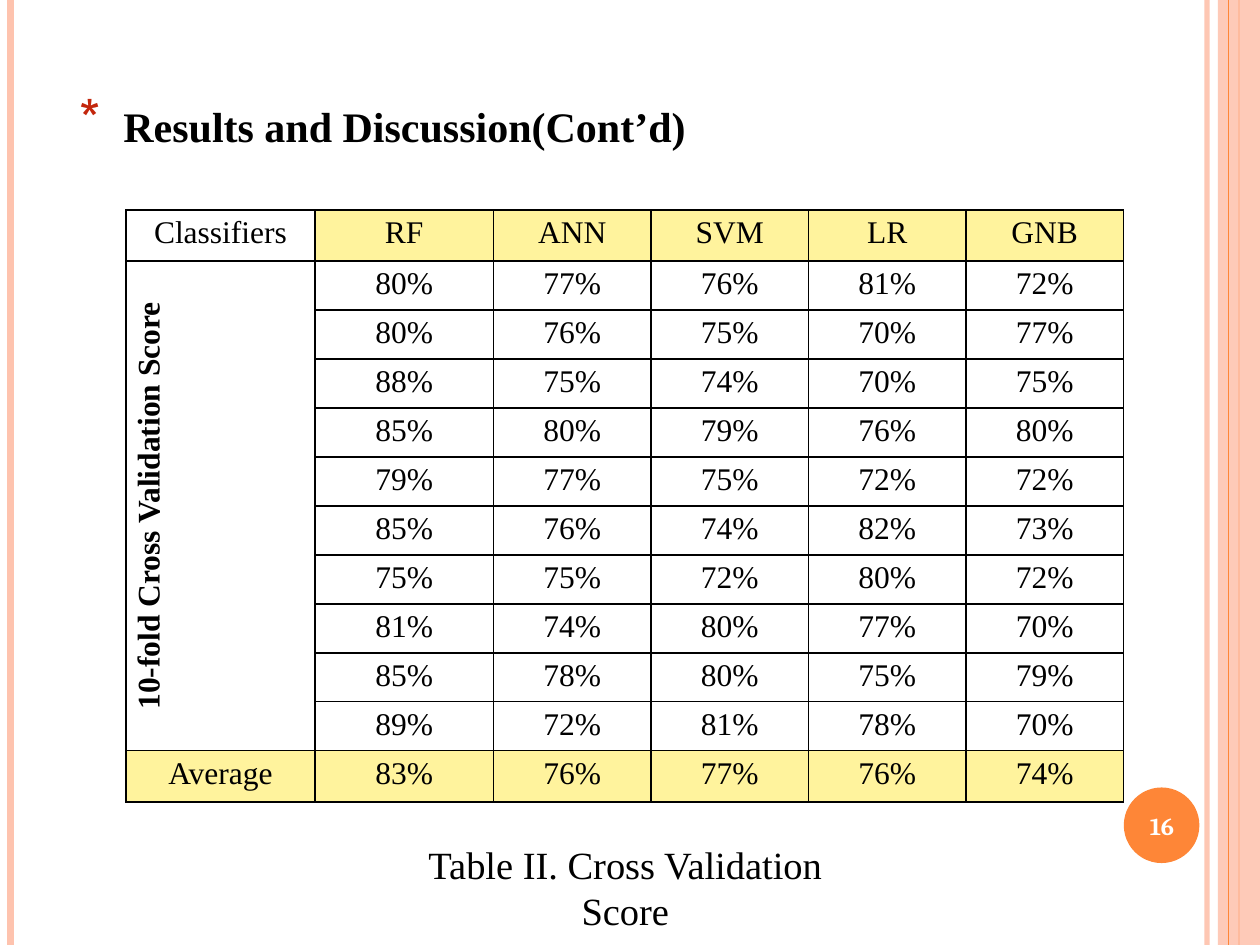
from lxml import etree
from pptx import Presentation
from pptx import util as u
from pptx.dml.color import RGBColor
from pptx.enum import shapes, text
from pptx.oxml import ns

Pt = u.Pt
PEACH = RGBColor(0xFE, 0xC3, 0xAE)
ORANGE = RGBColor(0xFE, 0x86, 0x37)
YELLOW = RGBColor(0xFF, 0xF3, 0x9D)
BLACK = RGBColor(0, 0, 0)
WHITE = RGBColor(0xFF, 0xFF, 0xFF)
BULLET_RED = "C3260C"
SERIF = "Times New Roman"
W, H = 720, 540

HEADER = ["Classifiers", "RF", "ANN", "SVM", "LR", "GNB"]
SCORES = [
    [80, 77, 76, 81, 72],
    [80, 76, 75, 70, 77],
    [88, 75, 74, 70, 75],
    [85, 80, 79, 76, 80],
    [79, 77, 75, 72, 72],
    [85, 76, 74, 82, 73],
    [75, 75, 72, 80, 72],
    [81, 74, 80, 77, 70],
    [85, 78, 80, 75, 79],
    [89, 72, 81, 78, 70],
]
AVERAGE = [83, 76, 77, 76, 74]
COL_WIDTHS = [108, 102, 90, 90, 90, 90]
END_ROW, SCORE_ROW = 29.2, 27.15


def sub(parent, tag, **attrs):
    return etree.SubElement(parent, ns.qn(tag), attrs)


def set_alpha(fill_parent, percent):
    clr = fill_parent.find(ns.qn("a:solidFill"))[0]
    sub(clr, "a:alpha", val=str(percent * 1000))


def write(tf, words, align=text.PP_ALIGN.CENTER, **fmt):
    p = tf.paragraphs[0]
    p.alignment = align
    r = p.add_run()
    r.text = words
    r.font.color.rgb = fmt.pop("color", BLACK)
    for name, value in {"name": SERIF, "bold": False, **fmt}.items():
        setattr(r.font, name, value)
    return p


def add_vline(s, x, color, width, alpha=None):
    ln = s.shapes.add_connector(shapes.MSO_CONNECTOR.STRAIGHT, Pt(x), 0, Pt(x), Pt(H))
    ln.line.color.rgb = color
    ln.line.width = Pt(width)
    spPr = ln._element.spPr
    if alpha:
        set_alpha(spPr.find(ns.qn("a:ln")), alpha)
    sub(spPr, "a:effectLst")


def add_shape(s, kind, box, color, alpha=None):
    sp = s.shapes.add_shape(kind, *map(Pt, box))
    sp.shadow.inherit = False
    sp.fill.solid()
    sp.fill.fore_color.rgb = color
    sp.line.fill.background()
    if alpha:
        set_alpha(sp._element.spPr, alpha)


def add_text(s, box, words, wrap=True, anchor=text.MSO_ANCHOR.TOP, **fmt):
    tf = s.shapes.add_textbox(*map(Pt, box)).text_frame
    tf.word_wrap = wrap
    tf.vertical_anchor = anchor
    return write(tf, words, **fmt)


def add_bullet(p, char, indent):
    pPr = p._p.get_or_add_pPr()
    pPr.set("marL", str(Pt(indent)))
    pPr.set("indent", str(-Pt(indent)))
    sub(sub(pPr, "a:buClr"), "a:srgbClr", val=BULLET_RED)
    sub(pPr, "a:buSzPct", val="128000")
    sub(pPr, "a:buChar", char=char)


def style_cell(cell, fill):
    cell.margin_top = cell.margin_bottom = Pt(3.2)
    tcPr = cell._tc.get_or_add_tcPr()
    for side in ("a:lnL", "a:lnR", "a:lnT", "a:lnB"):
        ln = sub(tcPr, side, w=str(Pt(1)))
        sub(sub(ln, "a:solidFill"), "a:srgbClr", val=str(BLACK))
    if fill:
        cell.fill.solid()
        cell.fill.fore_color.rgb = fill
    else:
        cell.fill.background()


def add_score_table(s, x, y):
    body = [["", *row] for row in SCORES]
    body[0][0] = "10-fold Cross Validation Score"
    rows = [HEADER, *body, ["Average", *AVERAGE]]
    last = len(rows) - 1
    heights = [END_ROW] + [SCORE_ROW] * len(SCORES) + [END_ROW]
    table = s.shapes.add_table(len(rows), len(HEADER), Pt(x), Pt(y),
                               Pt(sum(COL_WIDTHS)), Pt(sum(heights))).table
    table.first_row = table.horz_banding = False
    for col, width in zip(table.columns, COL_WIDTHS):
        col.width = Pt(width)
    for i, (values, height) in enumerate(zip(rows, heights)):
        table.rows[i].height = Pt(height)
        for j, value in enumerate(values):
            cell = table.cell(i, j)
            shaded = i == last or (i == 0 and j > 0)
            style_cell(cell, YELLOW if shaded else None)
            if value != "":
                words = f"{value}%" if isinstance(value, int) else value
                write(cell.text_frame, words, size=Pt(18), bold=(i, j) == (1, 0))
    side = table.cell(1, 0)
    side.merge(table.cell(last - 1, 0))
    side.vertical_anchor = text.MSO_ANCHOR.MIDDLE
    side._tc.get_or_add_tcPr().set("vert", "vert270")


def main():
    prs = Presentation()
    prs.slide_width, prs.slide_height = Pt(W), Pt(H)
    s = prs.slides.add_slide(prs.slide_layouts[6])

    add_vline(s, 689.8, PEACH, 3, alpha=93)
    add_vline(s, 6, PEACH, 4.5)
    add_vline(s, 708, ORANGE, 1.5)
    add_shape(s, shapes.MSO_SHAPE.RECTANGLE, (696, 0, 24, H), PEACH, alpha=87)
    add_vline(s, 702, ORANGE, 0.75)
    add_shape(s, shapes.MSO_SHAPE.OVAL, (642.2, 450, 43.2, 43.2), ORANGE)

    title = add_text(s, (38.2, 54, 512.6, 90), "Results and Discussion(Cont’d)",
                     align=text.PP_ALIGN.LEFT, size=Pt(24), bold=True)
    add_bullet(title, "*", 25.2)
    add_text(s, (211.5, 476.8, 291.6, 33), "Table II. Cross Validation Score",
             wrap=False, size=Pt(22))
    add_text(s, (640, 451.5, 48, 41), "16", anchor=text.MSO_ANCHOR.MIDDLE,
             name="Cambria", size=Pt(14), bold=True, color=WHITE)
    add_score_table(s, 72, 120)
    prs.save("out.pptx")


if __name__ == "__main__":
    main()
